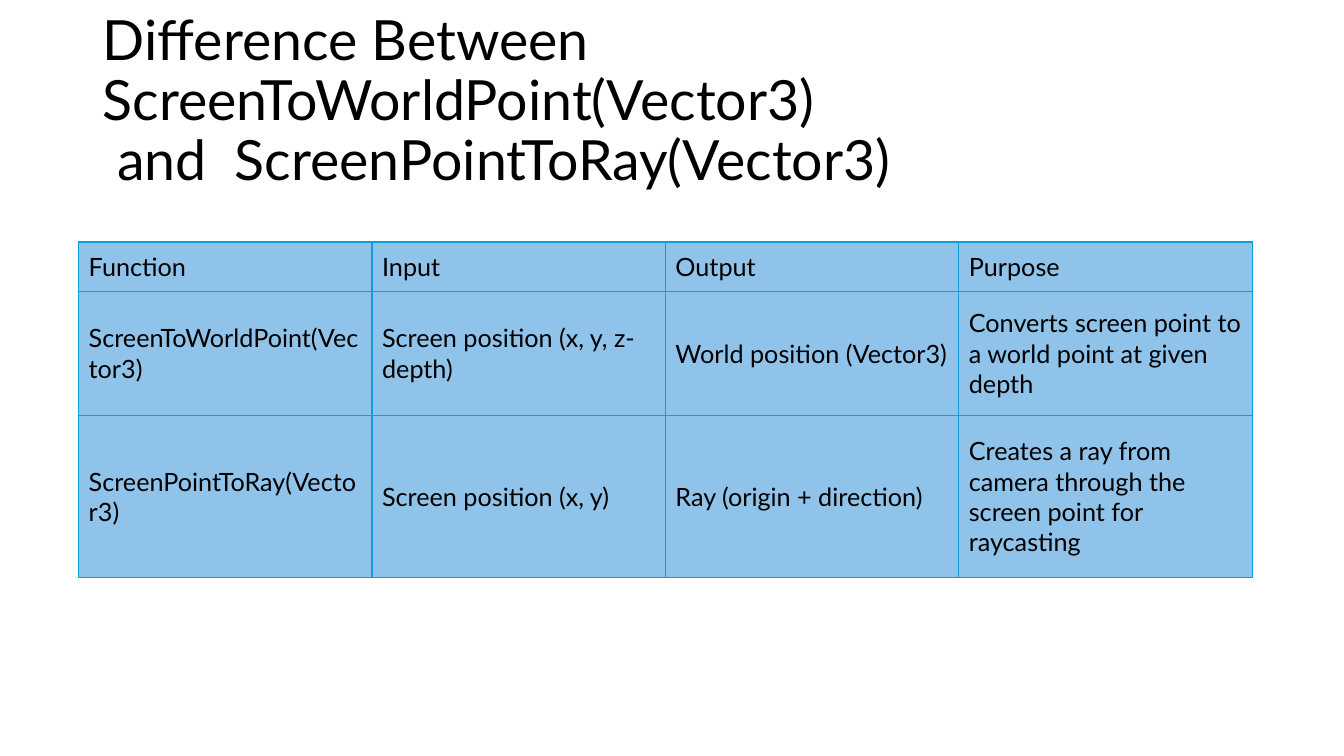
from lxml.etree import SubElement
from pptx import Presentation
from pptx.dml.color import RGBColor
from pptx.enum.text import MSO_ANCHOR, MSO_AUTO_SIZE, PP_ALIGN
from pptx.oxml.ns import qn
from pptx.util import Inches, Pt

BLACK = RGBColor(0x00, 0x00, 0x00)
CELL_BLUE = RGBColor(0x90, 0xC3, 0xEA)
BORDER_BLUE = RGBColor(0x0F, 0x9E, 0xD5)

TITLE = "Difference Between  ScreenToWorldPoint(Vector3)\v and  ScreenPointToRay(Vector3)"
COMPARISON = [
    ["Function", "Input", "Output", "Purpose"],
    [
        "ScreenToWorldPoint(Vector3)",
        "Screen position (x, y, z-depth)",
        "World position (Vector3)",
        "Converts screen point to a world point at given depth",
    ],
    [
        "ScreenPointToRay(Vector3)",
        "Screen position (x, y)",
        "Ray (origin + direction)",
        "Creates a ray from camera through the screen point for raycasting",
    ],
]
ROW_HEIGHTS = [0.49, 1.23, 1.61]


class SlideBuilder:
    font_name = "Lato"
    title_size = Pt(39.6)
    cell_size = Pt(18)
    border_width = Pt(1)

    def __init__(self, slide):
        self.slide = slide

    def format_runs(self, paragraph, size):
        paragraph.alignment = PP_ALIGN.LEFT
        for run in paragraph.runs:
            run.font.name = self.font_name
            run.font.size = size
            run.font.bold = False
            run.font.color.rgb = BLACK

    def add_title(self, text, left, top, width, height):
        title = self.slide.shapes.title
        title.left, title.top = Inches(left), Inches(top)
        title.width, title.height = Inches(width), Inches(height)
        text_frame = title.text_frame
        text_frame.text = text
        text_frame.word_wrap = True
        text_frame.auto_size = MSO_AUTO_SIZE.NONE
        text_frame.vertical_anchor = MSO_ANCHOR.MIDDLE
        text_frame.margin_bottom = Inches(0.65)
        paragraph = text_frame.paragraphs[0]
        paragraph.line_spacing = 0.9
        self.format_runs(paragraph, self.title_size)

    def add_borders(self, cell):
        properties = cell._tc.get_or_add_tcPr()
        for position, side in enumerate(("a:lnL", "a:lnR", "a:lnT", "a:lnB")):
            line = SubElement(properties, qn(side), w=str(self.border_width))
            fill = SubElement(line, qn("a:solidFill"))
            SubElement(fill, qn("a:srgbClr"), val=str(BORDER_BLUE))
            properties.insert(position, line)

    def add_table(self, rows, left, top, width, row_heights):
        column_count = len(rows[0])
        frame = self.slide.shapes.add_table(
            len(rows), column_count, Inches(left), Inches(top),
            Inches(width), Inches(sum(row_heights)),
        )
        table = frame.table
        table.first_row = False
        table.horz_banding = False
        for column in table.columns:
            column.width = Inches(width / column_count)
        for row, height, texts in zip(table.rows, row_heights, rows):
            row.height = Inches(height)
            for cell, text in zip(row.cells, texts):
                cell.text_frame.text = text
                cell.vertical_anchor = MSO_ANCHOR.MIDDLE
                cell.fill.solid()
                cell.fill.fore_color.rgb = CELL_BLUE
                self.format_runs(cell.text_frame.paragraphs[0], self.cell_size)
                self.add_borders(cell)


def main():
    presentation = Presentation()
    presentation.slide_width = Inches(13.33)
    presentation.slide_height = Inches(7.5)
    slide = presentation.slides.add_slide(presentation.slide_layouts[5])
    builder = SlideBuilder(slide)
    builder.add_title(TITLE, 0.92, 0.4, 11.64, 1.83)
    builder.add_table(COMPARISON, 0.78, 2.4, 11.64, ROW_HEIGHTS)
    presentation.save("out.pptx")


if __name__ == "__main__":
    main()
